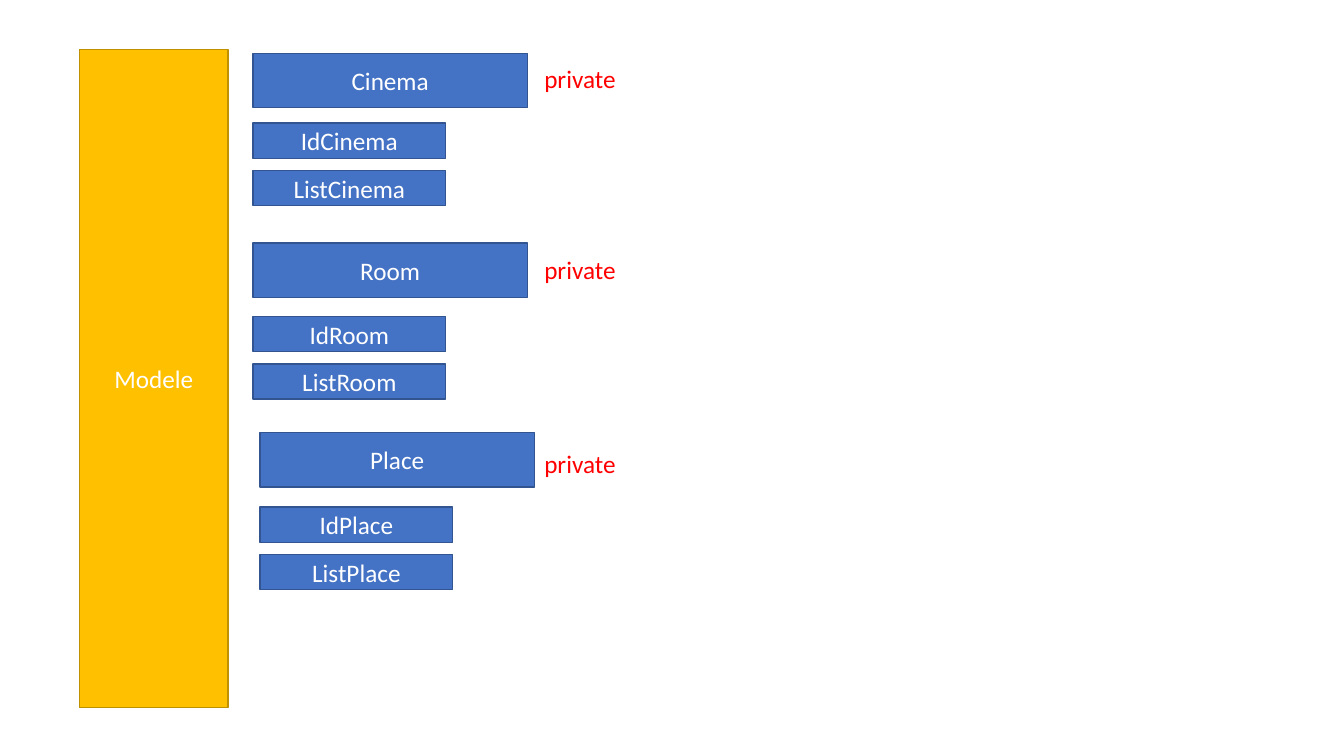
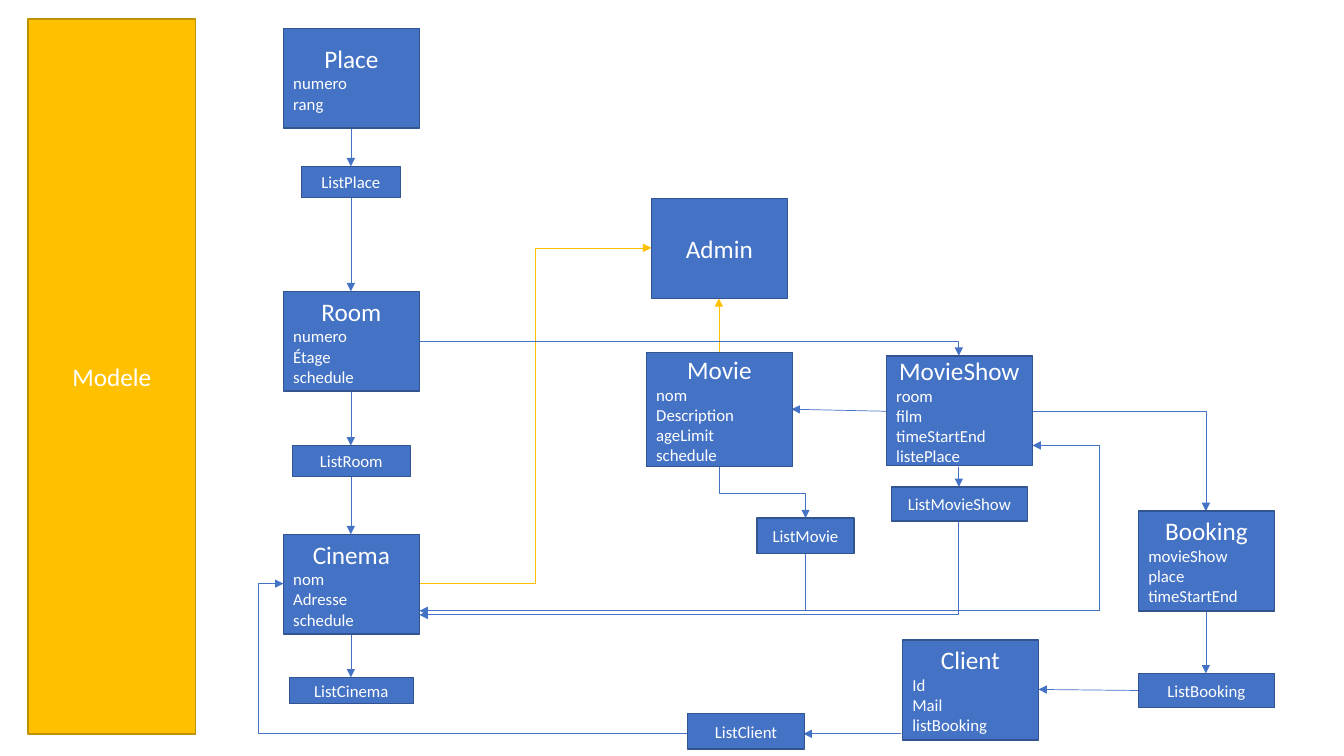
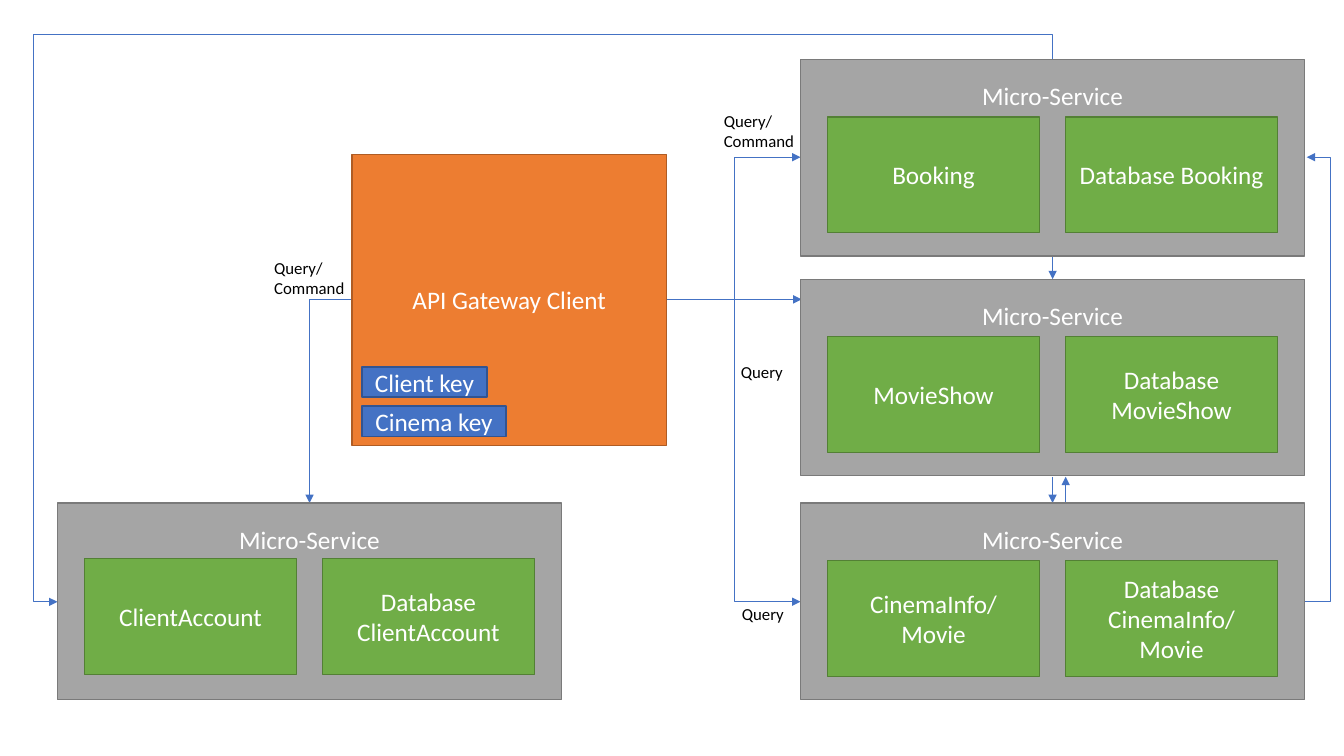
from dataclasses import dataclass

import lxml.etree
import pptx
import pptx.dml.color
import pptx.enum.shapes
import pptx.enum.text
import pptx.oxml.ns
import pptx.slide
import pptx.util

Inches = pptx.util.Inches
Pt = pptx.util.Pt
qn = pptx.oxml.ns.qn
ALIGN = pptx.enum.text.PP_ALIGN
ANCHOR = pptx.enum.text.MSO_ANCHOR
Point = tuple[float, float]

FONT = "Calibri"
COLORS = {
    "blue": "4472C4", "blue_edge": "325491",
    "gold": "FFC000", "gold_edge": "BF9000",
    "gray": "A5A5A5", "gray_edge": "7A7A7A",
    "green": "70AD47", "green_edge": "538035",
    "orange": "ED7D31", "orange_edge": "AF5C24",
    "white": "FFFFFF", "red": "FF0000", "black": "000000",
}


@dataclass
class Box:
    left: float
    top: float
    width: float
    height: float
    title: str
    color: str = "blue"
    size: int = 18
    fields: tuple[str, ...] = ()
    top_inset: float | None = None  # title at the top instead of the middle


@dataclass
class Label:
    left: float
    top: float
    width: float
    height: float
    text: str
    size: int = 12
    color: str = "black"


@dataclass
class Link:
    points: tuple[Point, ...]
    color: str = "blue"


@dataclass
class Entity:
    name: str
    left: float
    top: float
    id_top: float
    private_top: float


@dataclass
class Service:
    left: float
    top: float
    app: str
    database: str
    inset: float = 0.57


def rgb(name: str) -> pptx.dml.color.RGBColor:
    return pptx.dml.color.RGBColor.from_string(COLORS[name])


def write(tf, lines: list[tuple[str, int, ALIGN]], color: str) -> None:
    tf.word_wrap = True
    for i, (text, size, align) in enumerate(lines):
        p = tf.paragraphs[0] if i == 0 else tf.add_paragraph()
        p.alignment = align
        r = p.add_run()
        r.text = text
        r.font.name = FONT
        r.font.size = Pt(size)
        r.font.color.rgb = rgb(color)


def add_box(s: pptx.slide.Slide, box: Box) -> None:
    sp = s.shapes.add_shape(
        pptx.enum.shapes.MSO_SHAPE.RECTANGLE,
        Inches(box.left), Inches(box.top), Inches(box.width), Inches(box.height))
    sp.shadow.inherit = False
    sp.fill.solid()
    sp.fill.fore_color.rgb = rgb(box.color)
    sp.line.color.rgb = rgb(box.color + "_edge")
    sp.line.width = Pt(1)
    tf = sp.text_frame
    tf.vertical_anchor = ANCHOR.MIDDLE
    if box.top_inset is not None:
        tf.vertical_anchor = ANCHOR.TOP
        tf.margin_top = Inches(box.top_inset)
    lines = [(t, box.size, ALIGN.CENTER) for t in box.title.split("\n")]
    write(tf, lines + [(t, 12, ALIGN.LEFT) for t in box.fields], "white")


def add_label(s: pptx.slide.Slide, label: Label) -> None:
    tb = s.shapes.add_textbox(Inches(label.left), Inches(label.top),
                              Inches(label.width), Inches(label.height))
    tf = tb.text_frame
    write(tf, [(t, label.size, ALIGN.LEFT) for t in label.text.split("\n")], label.color)
    tf.auto_size = pptx.enum.text.MSO_AUTO_SIZE.SHAPE_TO_FIT_TEXT


def bend(c, points: tuple[Point, ...]) -> None:
    """Turn a connector into the elbow that runs through the points."""
    start, end = points[0], points[-1]
    vertical = start[0] == points[1][0]
    along, across = (1, 0) if vertical else (0, 1)
    delta = (end[0] - start[0], end[1] - start[1])
    length, breadth = abs(delta[along]), abs(delta[across])
    c.left = Inches((start[0] + end[0] - length) / 2)
    c.top = Inches((start[1] + end[1] - breadth) / 2)
    c.width, c.height = Inches(length), Inches(breadth)

    # Direction: a quarter turn for a vertical start, a half turn to go back
    flip_h = delta[along] < 0
    flip_v = delta[across] > 0 if vertical else delta[across] < 0
    turn = 90 if vertical else 0
    if flip_h or (vertical and len(points) > 3):
        turn, flip_h, flip_v = turn + 180, not flip_h, not flip_v
    xfrm = c._element.spPr.find(qn("a:xfrm"))
    for key, value in (("rot", turn * 60000), ("flipH", int(flip_h)), ("flipV", int(flip_v))):
        xfrm.set(key, str(value))

    # Bends: each inner segment lies at a share of the whole extent
    geom = c._element.spPr.find(qn("a:prstGeom"))
    geom.set("prst", f"bentConnector{len(points) - 1}")
    av = geom.find(qn("a:avLst"))
    for i, via in enumerate(points[1:-2]):
        axis = across if i % 2 else along
        share = (via[axis] - start[axis]) / delta[axis]
        lxml.etree.SubElement(av, qn("a:gd"), name=f"adj{i + 1}",
                              fmla=f"val {round(share * 100000)}")


def add_link(s: pptx.slide.Slide, link: Link) -> None:
    kinds = pptx.enum.shapes.MSO_CONNECTOR
    bent = len(link.points) > 2
    c = s.shapes.add_connector(
        kinds.ELBOW if bent else kinds.STRAIGHT,
        *(Inches(v) for v in link.points[0] + link.points[-1]))
    if bent:
        for flip in ("flipH", "flipV"):
            c._element.spPr.find(qn("a:xfrm")).attrib.pop(flip, None)
        bend(c, link.points)
    c.line.color.rgb = rgb(link.color)
    c.line.width = Pt(0.5)
    lxml.etree.SubElement(c.line._get_or_add_ln(), qn("a:tailEnd"), type="triangle")
    lxml.etree.SubElement(c._element.spPr, qn("a:effectLst"))


def add_slide(prs, boxes: list[Box], links: list[Link], labels: list[Label]) -> None:
    s = prs.slides.add_slide(prs.slide_layouts[6])
    for link in links:
        add_link(s, link)
    for box in boxes:
        add_box(s, box)
    for label in labels:
        add_label(s, label)


def model_outline(prs) -> None:
    entities = [
        Entity("Cinema", 2.51, 0.53, 1.22, 0.58),
        Entity("Room", 2.51, 2.41, 3.14, 2.47),
        Entity("Place", 2.58, 4.29, 5.03, 4.4),
    ]
    boxes = [Box(0.79, 0.49, 1.47, 6.53, "Modele", "gold")]
    for e in entities:
        boxes += [
            Box(e.left, e.top, 2.72, 0.54, e.name),
            Box(e.left, e.id_top, 1.91, 0.35, "Id" + e.name),
            Box(e.left, e.id_top + 0.47, 1.91, 0.35, "List" + e.name),
        ]
    labels = [Label(5.3, e.private_top, 3.07, 0.4, "private", 18, "red") for e in entities]
    add_slide(prs, boxes, [], labels)


def class_diagram(prs) -> None:
    width, height = 1.35, 0.99
    boxes = [
        Box(0.28, 0.19, 1.66, 7.09, "Modele", "gold"),
        # Classes
        Box(6.46, 1.97, width, height, "Admin"),
        Box(2.81, 0.28, width, height, "Place", fields=("numero", "rang")),
        Box(2.81, 2.89, width, height, "Room", fields=("numero", "Étage", "schedule")),
        Box(2.81, 5.3, width, height, "Cinema", fields=("nom", "Adresse", "schedule")),
        Box(6.41, 3.5, 1.45, 1.13, "Movie",
            fields=("nom", "Description", "ageLimit", "schedule")),
        Box(8.79, 3.53, 1.45, 1.09, "MovieShow",
            fields=("room", "film", "timeStartEnd", "listePlace")),
        Box(8.95, 6.35, width, height, "Client", fields=("Id", "Mail", "listBooking")),
        Box(11.29, 5.07, width, height, "Booking",
            fields=("movieShow", "place", "timeStartEnd")),
        # Lists
        Box(2.99, 1.65, 0.98, 0.31, "ListPlace", size=12),
        Box(2.9, 4.42, 1.17, 0.31, "ListRoom", size=12),
        Box(2.87, 6.72, 1.23, 0.26, "ListCinema", size=12),
        Box(7.51, 5.14, 0.96, 0.35, "ListMovie", size=12),
        Box(8.84, 4.83, width, 0.34, "ListMovieShow", size=12),
        Box(11.29, 6.68, width, 0.34, "ListBooking", size=12),
        Box(6.82, 7.08, 1.16, 0.35, "ListClient", size=12),
    ]
    # Place to Room to Cinema, down one column
    column = [(1.27, 1.65), (1.96, 2.89), (3.88, 4.42), (4.73, 5.3), (6.29, 6.72)]
    links = [Link(((3.48, y1), (3.48, y2))) for y1, y2 in column]
    links += [
        # Admin
        Link(((7.13, 3.5), (7.13, 2.96)), "gold"),
        Link(((4.16, 5.79), (5.31, 5.79), (5.31, 2.46), (6.46, 2.46)), "gold"),
        # Movie and MovieShow
        Link(((8.79, 4.08), (7.85, 4.06))),
        Link(((7.13, 4.63), (7.13, 4.89), (7.99, 4.89), (7.99, 5.14))),
        Link(((7.99, 5.5), (7.99, 6.06), (4.16, 6.06))),
        Link(((9.51, 4.63), (9.51, 4.83))),
        Link(((9.51, 4.63), (9.51, 6.1), (4.16, 6.1))),
        Link(((4.16, 6.06), (10.91, 6.06), (10.91, 4.42), (10.24, 4.42))),
        Link(((4.16, 3.39), (9.51, 3.39), (9.51, 3.53))),
        # Booking and Client
        Link(((10.24, 4.08), (11.96, 4.08), (11.96, 5.07))),
        Link(((11.96, 6.06), (11.96, 6.68))),
        Link(((11.29, 6.85), (10.3, 6.84))),
        Link(((8.94, 7.28), (7.97, 7.28))),
        Link(((8.94, 7.28), (2.56, 7.28), (2.56, 5.79), (2.81, 5.79))),
    ]
    add_slide(prs, boxes, links, [])


def micro_services(prs) -> None:
    services = [
        Service(7.94, 0.59, "Booking", "Database Booking"),
        Service(7.94, 2.77, "MovieShow", "Database MovieShow"),
        Service(7.94, 4.99, "CinemaInfo/\nMovie", "Database CinemaInfo/ Movie"),
        Service(0.57, 4.99, "ClientAccount", "Database ClientAccount", 0.55),
    ]
    boxes = []
    for v in services:
        boxes.append(Box(v.left, v.top, 5, 1.95, "Micro-Service", "gray", top_inset=0.21))
        for dx, title in ((0.27, v.app), (2.63, v.database)):
            boxes.append(Box(v.left + dx, v.top + v.inset, 2.1, 1.15, title, "green"))
    boxes += [
        Box(3.49, 1.53, 3.12, 2.89, "API Gateway Client", "orange"),
        Box(3.59, 3.64, 1.24, 0.3, "Client key"),
        Box(3.59, 4.03, 1.43, 0.3, "Cinema key"),
    ]
    links = [
        # Gateway to services
        Link(((6.61, 2.97), (7.28, 2.97), (7.28, 1.56), (7.94, 1.56))),
        Link(((6.61, 2.97), (7.28, 2.97), (7.28, 5.97), (7.94, 5.97))),
        Link(((6.61, 2.97), (7.95, 2.97))),
        Link(((3.49, 2.97), (3.07, 2.97), (3.07, 4.99))),
        # Service to service
        Link(((10.44, 2.54), (10.44, 2.77))),
        Link(((10.44, 4.73), (10.44, 4.99))),
        Link(((10.57, 4.99), (10.57, 4.73))),
        Link(((10.44, 0.59), (10.44, 0.34), (0.33, 0.34), (0.33, 5.97), (0.57, 5.97))),
        Link(((12.94, 5.97), (13.19, 5.97), (13.19, 1.56), (12.96, 1.56))),
    ]
    labels = [
        Label(7.26, 5.94, 0.83, 0.3, "Query"),
        Label(7.25, 3.54, 0.83, 0.3, "Query"),
        Label(2.62, 2.51, 0.98, 0.5, "Query/\nCommand"),
        Label(7.08, 1.05, 0.98, 0.5, "Query/\nCommand"),
    ]
    add_slide(prs, boxes, links, labels)


def main() -> None:
    prs = pptx.Presentation()
    prs.slide_width, prs.slide_height = Inches(13.33), Inches(7.5)
    model_outline(prs)
    class_diagram(prs)
    micro_services(prs)
    prs.save("out.pptx")


if __name__ == "__main__":
    main()
